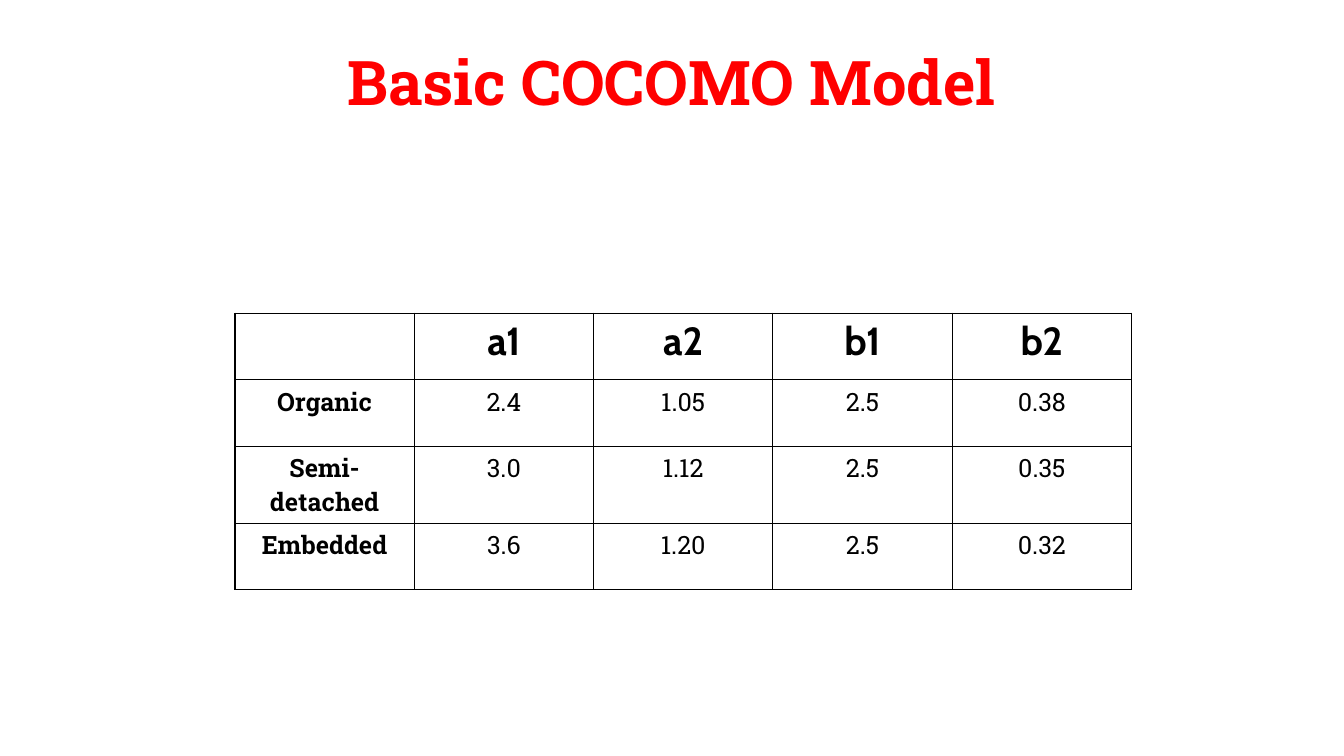
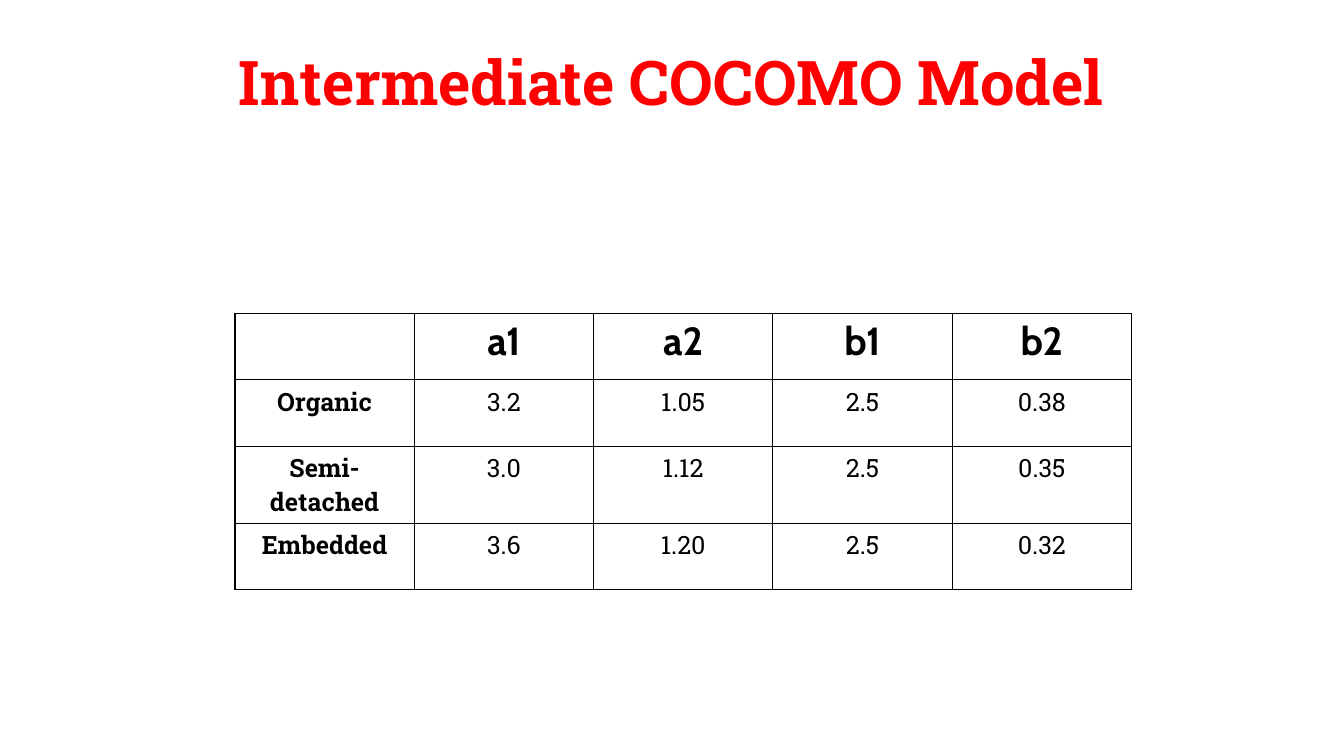
from dataclasses import dataclass

import lxml.etree
import pptx
import pptx.dml.color
import pptx.enum.text
import pptx.oxml.ns
import pptx.slide
import pptx.table
import pptx.text.text
import pptx.util
from pptx.util import Cm


@dataclass(frozen=True)
class TextStyle:
    font: str
    size: int
    color: str
    bold: bool = False


@dataclass(frozen=True)
class Theme:
    title: TextStyle = TextStyle("Roboto Slab", 44, "FF0000", True)
    header: TextStyle = TextStyle("Cabin", 28, "000000", True)
    mode: TextStyle = TextStyle("Roboto Slab", 18, "000000", True)
    value: TextStyle = TextStyle("Roboto Slab", 18, "000000")
    border_color: str = "000000"
    border_width: int = 1


@dataclass(frozen=True)
class CocomoModel:
    title: str
    coefficients: dict[str, list[str]]


THEME = Theme()
COLUMN_WIDTH = Cm(4.52)
ROW_HEIGHT = Cm(1.68)
HEADINGS = ["", "a1", "a2", "b1", "b2"]
SHARED_MODES = {
    "Semi-detached": ["3.0", "1.12", "2.5", "0.35"],
    "Embedded": ["3.6", "1.20", "2.5", "0.32"],
}
MODELS = [
    CocomoModel("Basic COCOMO Model",
                {"Organic": ["2.4", "1.05", "2.5", "0.38"], **SHARED_MODES}),
    CocomoModel("Intermediate COCOMO Model",
                {"Organic": ["3.2", "1.05", "2.5", "0.38"], **SHARED_MODES}),
]


def write(frame: pptx.text.text.TextFrame, text: str, style: TextStyle) -> None:
    """Put one centred, styled paragraph into a text frame."""
    frame.text = text
    paragraph = frame.paragraphs[0]
    paragraph.alignment = pptx.enum.text.PP_ALIGN.CENTER
    paragraph.font.name = style.font
    paragraph.font.size = pptx.util.Pt(style.size)
    paragraph.font.bold = style.bold
    paragraph.font.color.rgb = pptx.dml.color.RGBColor.from_string(style.color)


def add_borders(cell: pptx.table._Cell) -> None:
    """Draw a solid line on all four sides of a cell."""
    qn = pptx.oxml.ns.qn
    properties = cell._tc.get_or_add_tcPr()
    for side in ("a:lnL", "a:lnR", "a:lnT", "a:lnB"):
        line = lxml.etree.SubElement(
            properties, qn(side), w=str(pptx.util.Pt(THEME.border_width)))
        fill = lxml.etree.SubElement(line, qn("a:solidFill"))
        lxml.etree.SubElement(fill, qn("a:srgbClr"), val=THEME.border_color)


def add_title(slide: pptx.slide.Slide, text: str) -> None:
    title = slide.shapes.title
    title.left, title.top = Cm(2.49), Cm(0.46)
    title.width, title.height = Cm(28.88), Cm(3.15)
    frame = title.text_frame
    frame.margin_left = frame.margin_right = Cm(0.05)
    frame.margin_top = frame.margin_bottom = Cm(0.15)
    frame.vertical_anchor = pptx.enum.text.MSO_ANCHOR.MIDDLE
    write(frame, text, THEME.title)
    frame.paragraphs[0].space_before = pptx.util.Pt(10)


def add_coefficients(slide: pptx.slide.Slide, model: CocomoModel) -> None:
    rows = [HEADINGS] + [[mode, *values] for mode, values in model.coefficients.items()]
    table = slide.shapes.add_table(
        len(rows), len(HEADINGS), Cm(5.92), Cm(7.89),
        COLUMN_WIDTH * len(HEADINGS), ROW_HEIGHT * len(rows)).table
    table.first_row = table.horz_banding = False
    for column in table.columns:
        column.width = COLUMN_WIDTH
    for row_index, row in enumerate(rows):
        table.rows[row_index].height = ROW_HEIGHT
        for column_index, text in enumerate(row):
            cell = table.cell(row_index, column_index)
            add_borders(cell)
            cell.fill.background()
            if row_index == 0:
                style = THEME.header
            else:
                style = THEME.value if column_index else THEME.mode
            if text:
                write(cell.text_frame, text, style)


def main() -> None:
    deck = pptx.Presentation()
    deck.slide_width, deck.slide_height = Cm(33.87), Cm(19.05)
    title_only = deck.slide_layouts.get_by_name("Title Only")

    # One slide per model: title above its coefficient table
    for model in MODELS:
        slide = deck.slides.add_slide(title_only)
        add_title(slide, model.title)
        add_coefficients(slide, model)

    deck.save("out.pptx")


if __name__ == "__main__":
    main()
